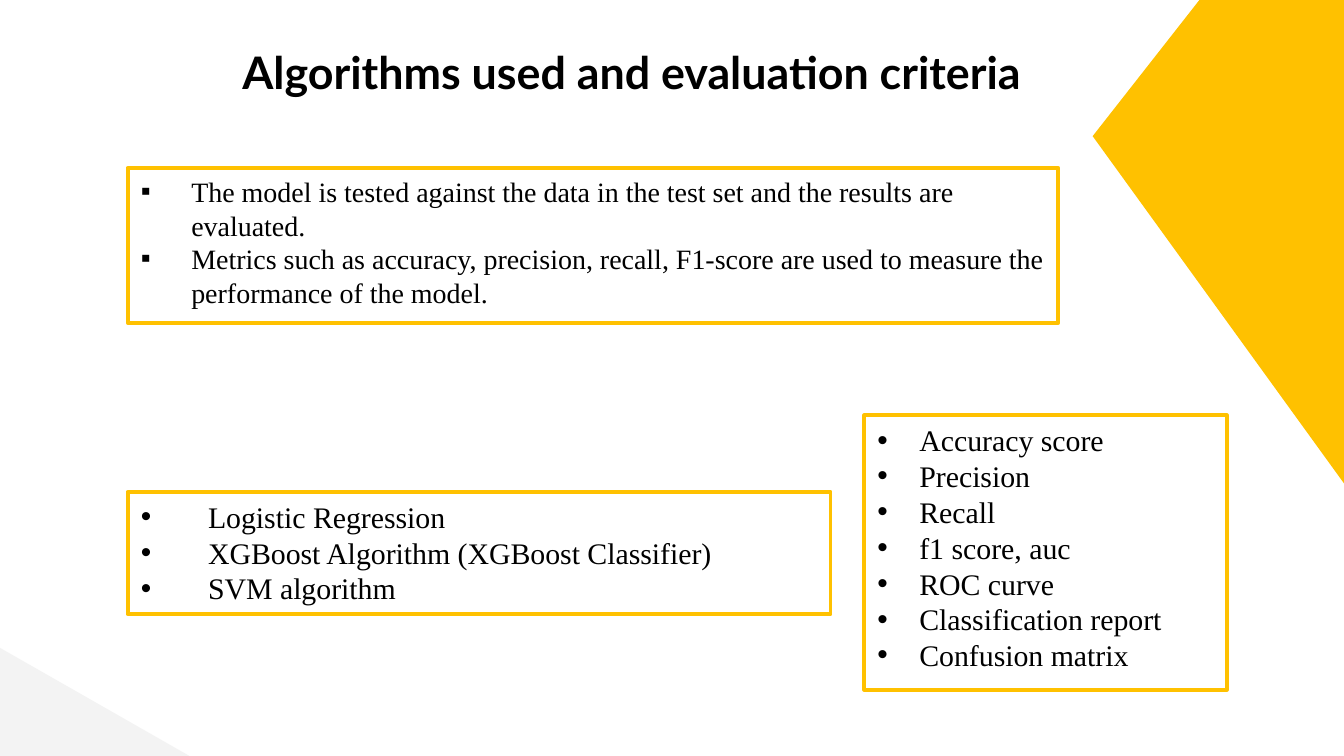
"""Build the slide on algorithms and evaluation criteria."""
from lxml import etree
from pptx import Presentation
from pptx.dml.color import RGBColor
from pptx.enum.shapes import MSO_SHAPE
from pptx.enum.text import MSO_ANCHOR, PP_ALIGN
from pptx.oxml.ns import qn
from pptx.util import Inches, Pt

RECTANGLE = MSO_SHAPE.RECTANGLE
TRIANGLE = MSO_SHAPE.ISOSCELES_TRIANGLE
RIGHT_TRIANGLE = MSO_SHAPE.RIGHT_TRIANGLE
TOP, MIDDLE = MSO_ANCHOR.TOP, MSO_ANCHOR.MIDDLE
LEFT, CENTER = PP_ALIGN.LEFT, PP_ALIGN.CENTER

SLIDE_WIDTH = Inches(10)
SLIDE_HEIGHT = SLIDE_WIDTH * 9 // 16
THEME = {
    "ink": "000000", "paper": "FFFFFF", "accent": "FFC100", "corner": "F3F3F3",
    "title_font": "Lato", "body_font": "Times New Roman",
    "title_size": 24, "list_size": 16, "note_size": 15, "border": 2,
}

TITLE = "Algorithms used and evaluation criteria"
TITLE_AREA = (2.7, 3.9, 88.6, 11.2)
CORNER_AREA = (0, 85.7, 14.1, 14.3)
ARROW_AREA = (65.8, 3.15, 49.7, 33.25)
ARROW_PEAK = 0.52
PANELS = [
    {"area": (9.5, 65.05, 52.3, 16.2), "bullet": "•", "indent": 36, "size": "list_size",
     "items": ["Logistic Regression", "XGBoost Algorithm (XGBoost Classifier)",
               "SVM algorithm"]},
    {"area": (64.3, 54.95, 27, 36.3), "bullet": "•", "indent": 22.5, "size": "list_size",
     "items": ["Accuracy score", "Precision", "Recall", "f1 score, auc", "ROC curve",
               "Classification report", "Confusion matrix"]},
    {"area": (9.5, 22.2, 69.25, 20.5), "bullet": "▪", "indent": 27, "size": "note_size",
     "items": ["The model is tested against the data in the test set and the results are evaluated.",
               "Metrics such as accuracy, precision, recall, F1-score are used to measure "
               "the performance of the model."]},
]


def color(name):
    return RGBColor.from_string(THEME[name])


def place(area):
    sides = (SLIDE_WIDTH, SLIDE_HEIGHT) * 2
    return [round(side * share / 100) for side, share in zip(sides, area)]


def add_figure(page, kind, area, fill, border=None):
    figure = page.shapes.add_shape(kind, *place(area))
    figure.shadow.inherit = False
    figure.fill.solid()
    figure.fill.fore_color.rgb = color(fill)
    if border:
        figure.line.color.rgb = color(border)
        figure.line.width = Pt(THEME["border"])
    else:
        figure.line.fill.background()
    return figure


def add_span(para, text, font, size, bold=False):
    span = para.add_run()
    span.text = text
    span.font.name = THEME[font]
    span.font.size = Pt(THEME[size])
    span.font.bold = bold
    span.font.color.rgb = color("ink")


def set_bullet(para, mark, indent):
    properties = para._p.get_or_add_pPr()
    properties.set("marL", str(Pt(indent)))
    properties.set("indent", str(-Pt(indent)))
    tint = etree.SubElement(properties, qn("a:buClr"))
    etree.SubElement(tint, qn("a:srgbClr"), val=THEME["ink"])
    etree.SubElement(properties, qn("a:buFont"), typeface="Arial")
    etree.SubElement(properties, qn("a:buChar"), char=mark)


def add_title(page):
    box = page.shapes.add_textbox(*place(TITLE_AREA))
    frame = box.text_frame
    frame.word_wrap = True
    frame.vertical_anchor = MIDDLE
    para = frame.paragraphs[0]
    para.alignment = CENTER
    add_span(para, TITLE, "title_font", "title_size", bold=True)


def add_panel(page, panel):
    frame = add_figure(page, RECTANGLE, panel["area"], "paper", "accent").text_frame
    frame.word_wrap = True
    frame.vertical_anchor = TOP
    for index, item in enumerate(panel["items"]):
        para = frame.add_paragraph() if index else frame.paragraphs[0]
        para.alignment = LEFT
        set_bullet(para, panel["bullet"], panel["indent"])
        add_span(para, item, "body_font", panel["size"])


def main():
    deck = Presentation()
    deck.slide_width, deck.slide_height = SLIDE_WIDTH, SLIDE_HEIGHT
    page = deck.slides.add_slide(deck.slide_layouts[6])
    add_figure(page, RIGHT_TRIANGLE, CORNER_AREA, "corner")
    arrow = add_figure(page, TRIANGLE, ARROW_AREA, "accent")
    arrow.adjustments[0] = ARROW_PEAK
    arrow.rotation = 270
    add_title(page)
    for panel in PANELS:
        add_panel(page, panel)
    deck.save("out.pptx")


if __name__ == "__main__":
    main()
